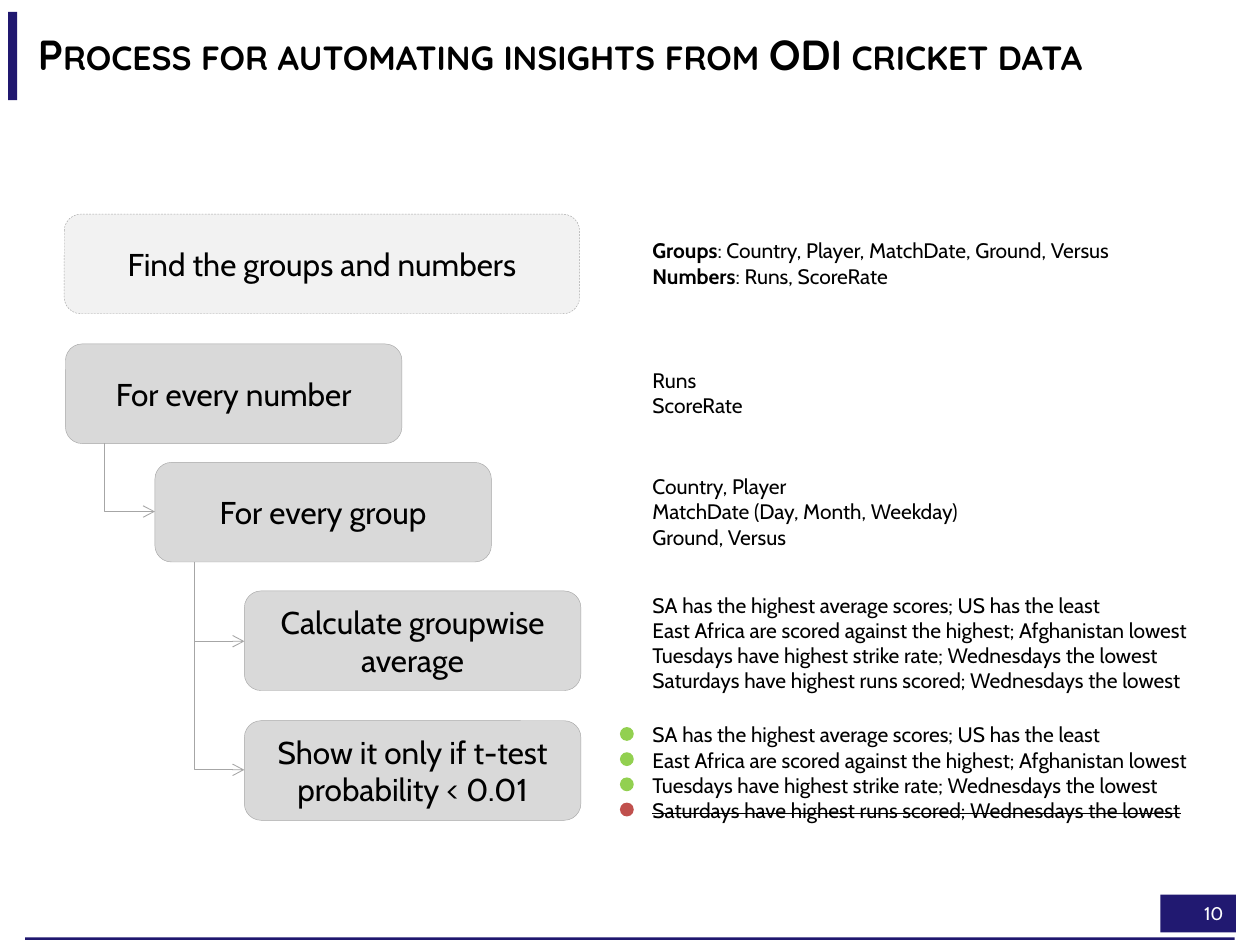
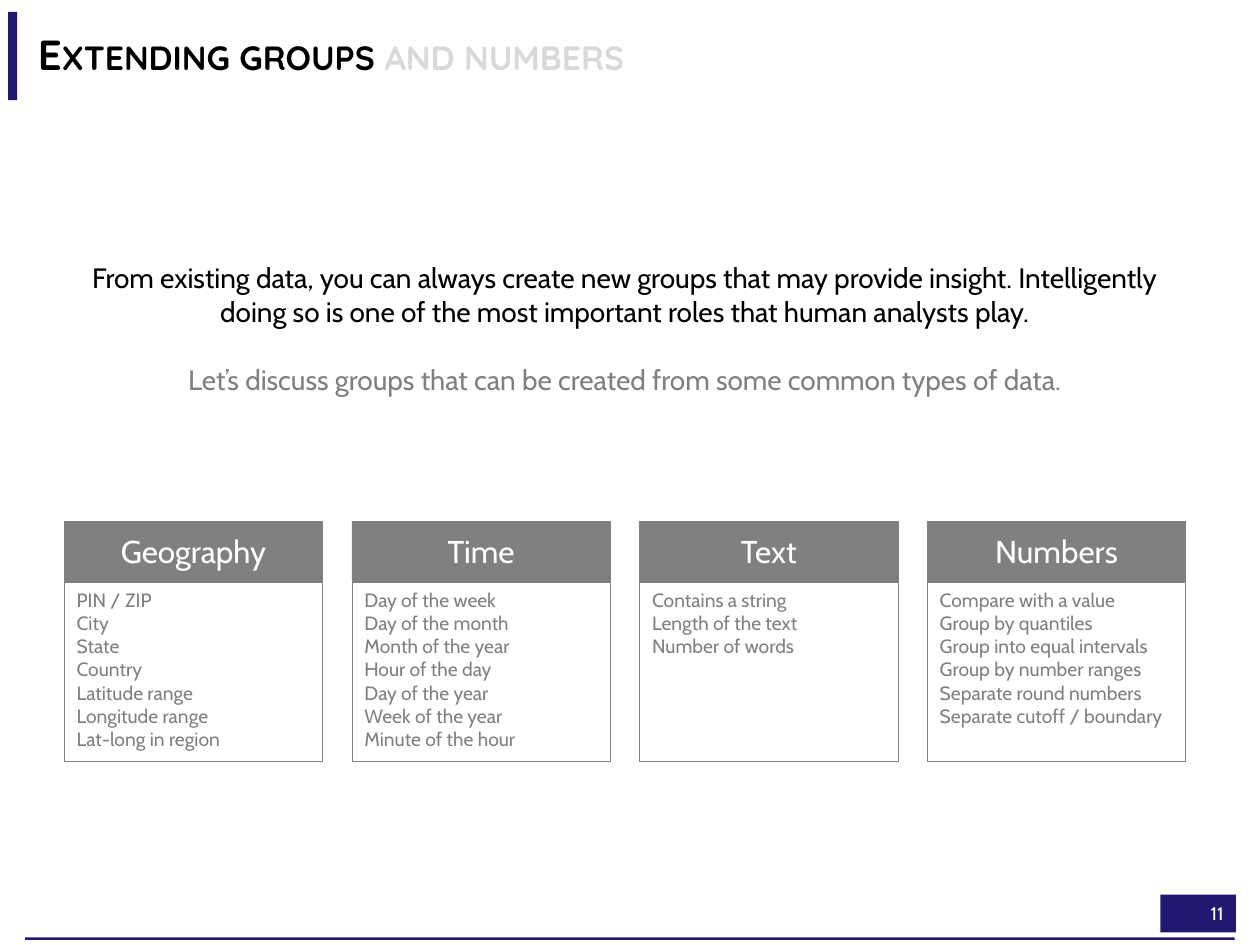
import pptx
import pptx.util
import pptx.dml.color
import pptx.enum.dml
import pptx.enum.shapes
import pptx.enum.text
import pptx.oxml
import pptx.oxml.ns

Inches = pptx.util.Inches
Pt = pptx.util.Pt
RGBColor = pptx.dml.color.RGBColor
SHAPE = pptx.enum.shapes.MSO_SHAPE
ALIGN = pptx.enum.text.PP_ALIGN
ANCHOR = pptx.enum.text.MSO_ANCHOR
FIT = pptx.enum.text.MSO_AUTO_SIZE
qn = pptx.oxml.ns.qn

NAVY = RGBColor(0x20, 0x18, 0x6F)
INDIGO = RGBColor(0x21, 0x19, 0x71)
BLACK = RGBColor(0, 0, 0)
WHITE = RGBColor(0xFF, 0xFF, 0xFF)
PALE = RGBColor(0xF2, 0xF2, 0xF2)
SILVER = RGBColor(0xD9, 0xD9, 0xD9)
ASH = RGBColor(0xA6, 0xA6, 0xA6)
GREY = RGBColor(0x80, 0x80, 0x80)
GREEN = RGBColor(0x92, 0xD0, 0x50)
RED = RGBColor(0xC0, 0x50, 0x4D)


def write(frame, paras, size=12, color=BLACK, font="Cabin", bold=False,
          align=ALIGN.LEFT, anchor=ANCHOR.TOP, caps=False, gap=0, lead=None):
    """Fill a frame; a paragraph is a string or a list of (text, changes) runs."""
    frame.vertical_anchor = anchor
    for i, para in enumerate(paras):
        line = frame.paragraphs[0] if i == 0 else frame.add_paragraph()
        line.alignment = align
        if lead:
            line.line_spacing = lead
        if gap and i:
            line.space_before = Pt(gap)
        for text, change in [(para, {})] if isinstance(para, str) else para:
            run = line.add_run()
            run.text = text
            run.font.name = font
            run.font.size = Pt(size)
            run.font.bold = change.get("bold", bold)
            run.font.color.rgb = change.get("color", color)
            props = run._r.get_or_add_rPr()
            if caps:
                props.set("cap", "small")
            if change.get("strike"):
                props.set("strike", "sngStrike")


class Deck:
    def __init__(self):
        self.show = pptx.Presentation()
        self.show.slide_width = Inches(10)
        self.show.slide_height = Inches(7.5)
        self.slide = None

    def start(self, title, number):
        """Add a slide with its title, side bar, foot rule and page number."""
        self.slide = self.show.slides.add_slide(self.show.slide_layouts[5])
        self.shape(9.21, 7.1, 0.6, 0.3, INDIGO, text=[str(number)],
                   size=10.5, color=WHITE, align=ALIGN.RIGHT, anchor=ANCHOR.MIDDLE)
        self.shape(0.2, 7.44, 9.6, 0.02, NAVY)
        self.shape(-0.25, 0.41, 0.7, 0.07, NAVY).rotation = 90
        head = self.slide.shapes.title
        head.left, head.top = Inches(0.2), Inches(0.1)
        head.width, head.height = Inches(9.6), Inches(0.7)
        head.fill.solid()
        head.fill.fore_color.rgb = WHITE
        tint = head.element.spPr.find(".//" + qn("a:srgbClr"))
        pptx.oxml.ns  # namespace helpers
        tint.append(pptx.oxml.parse_xml(
            f'<a:alpha {pptx.oxml.ns.nsdecls("a")} val="50000"/>'))
        head.text_frame.auto_size = FIT.NONE
        write(head.text_frame, [title], size=24, font="Quicksand", bold=True,
              anchor=ANCHOR.MIDDLE, caps=True, lead=0.9)

    def shape(self, x, y, w, h, fill, kind=SHAPE.RECTANGLE, edge=None,
              dash=False, text=(), **style):
        item = self.slide.shapes.add_shape(
            kind, Inches(x), Inches(y), Inches(w), Inches(h))
        item.shadow.inherit = False
        item.fill.solid()
        item.fill.fore_color.rgb = fill
        if edge is None:
            item.line.fill.background()
        else:
            item.line.color.rgb = edge
            item.line.width = Pt(0.25)
        if dash:
            item.line.dash_style = pptx.enum.dml.MSO_LINE.DASH
        if text:
            write(item.text_frame, text, **style)
        return item

    def step(self, x, y, w, text, fill=SILVER, dash=False):
        self.shape(x, y, w, 0.79, fill, SHAPE.ROUNDED_RECTANGLE, ASH, dash,
                   [text], size=18, align=ALIGN.CENTER, anchor=ANCHOR.MIDDLE)

    def note(self, x, y, w, h, paras, wrap=False, **style):
        box = self.slide.shapes.add_textbox(
            Inches(x), Inches(y), Inches(w), Inches(h))
        box.text_frame.word_wrap = wrap
        box.text_frame.auto_size = FIT.SHAPE_TO_FIT_TEXT
        write(box.text_frame, paras, **style)

    def elbow(self, x, y, right, low):
        """Draw an arrow down from (x, y), then across to (right, low)."""
        drop, run = low - y, right - x
        left, top = (x + right - drop) / 2, (y + low - run) / 2
        wire = self.slide.shapes.add_connector(
            pptx.enum.shapes.MSO_CONNECTOR.ELBOW, Inches(left), Inches(top),
            Inches(left + drop), Inches(top + run))
        wire.line.color.rgb = ASH
        wire.line.width = Pt(0.5)
        props = wire.element.spPr
        props.find(qn("a:prstGeom")).set("prst", "bentConnector2")
        frame = props.find(qn("a:xfrm"))
        frame.set("rot", "16200000")
        frame.set("flipH", "1")
        names = pptx.oxml.ns.nsdecls("a")
        props.find(qn("a:ln")).append(
            pptx.oxml.parse_xml(f'<a:tailEnd {names} type="arrow"/>'))
        props.append(pptx.oxml.parse_xml(f"<a:effectLst {names}/>"))

    def card(self, x, name, lines):
        self.shape(x, 4.14, 2.05, 0.47, GREY, edge=GREY, text=[name], size=18,
                   color=WHITE, align=ALIGN.CENTER, anchor=ANCHOR.MIDDLE)
        self.shape(x, 4.62, 2.05, 1.42, WHITE, edge=GREY, text=lines,
                   size=11, color=GREY)


def process(deck):
    deck.start("Process for automating insights from ODI cricket data", 10)
    deck.step(0.51, 1.7, 4.09, "Find the groups and numbers", PALE, True)
    for x, y, text in [
            (0.52, 2.73, "For every number"),
            (1.23, 3.67, "For every group"),
            (1.94, 4.69, "Calculate groupwise average"),
            (1.94, 5.72, "Show it only if t-test probability < 0.01")]:
        deck.step(x, y, 2.67, text)
    for x, y, right, low in [(0.83, 3.52, 1.23, 4.06),
                             (1.54, 4.46, 1.94, 5.09),
                             (1.54, 4.46, 1.94, 6.11)]:
        deck.elbow(x, y, right, low)

    facts = ["SA has the highest average scores; US has the least",
             "East Africa are scored against the highest; Afghanistan lowest",
             "Tuesdays have highest strike rate; Wednesdays the lowest",
             "Saturdays have highest runs scored; Wednesdays the lowest"]
    tested = facts[:3] + [[(facts[3], {"strike": True})]]
    strong = {"bold": True}
    inputs = [
        [("Groups", strong), (": Country, Player, MatchDate, Ground, Versus", {})],
        [("Numbers", strong), (": Runs, ScoreRate", {})]]
    for y, w, h, paras in [
            (1.84, 4.2, 0.5, inputs),
            (2.87, 0.99, 0.5, ["Runs", "ScoreRate"]),
            (3.71, 2.81, 0.71, ["Country, Player",
                                "MatchDate (Day, Month, Weekday)",
                                "Ground, Versus"]),
            (4.65, 4.79, 0.91, facts),
            (5.68, 4.79, 0.91, tested)]:
        deck.note(5.08, y, w, h, paras)
    for i, color in enumerate([GREEN, GREEN, GREEN, RED]):
        deck.shape(4.92, 5.77 + 0.2 * i, 0.11, 0.11, color, SHAPE.OVAL)


def groups(deck):
    deck.start([("Extending groups", {}), (" and numbers", {"color": SILVER})], 11)
    deck.note(0.51, 2.02, 8.9, 1.18, [
        "From existing data, you can always create new groups that may provide "
        "insight. Intelligently doing so is one of the most important roles that "
        "human analysts play.",
        [("Let’s discuss groups that can be created from some common types of "
          "data.", {"color": GREY})]],
        wrap=True, size=16, align=ALIGN.CENTER, gap=19.5)
    cards = {
        "Geography": ["PIN / ZIP", "City", "State", "Country", "Latitude range",
                      "Longitude range", "Lat-long in region"],
        "Time": ["Day of the week", "Day of the month", "Month of the year",
                 "Hour of the day", "Day of the year", "Week of the year",
                 "Minute of the hour"],
        "Text": ["Contains a string", "Length of the text", "Number of words"],
        "Numbers": ["Compare with a value", "Group by quantiles",
                    "Group into equal intervals", "Group by number ranges",
                    "Separate round numbers", "Separate cutoff / boundary"]}
    pitch = (8.9 - 2.05) / (len(cards) - 1)
    for i, (name, lines) in enumerate(cards.items()):
        deck.card(0.51 + pitch * i, name, lines)


def main():
    deck = Deck()
    process(deck)
    groups(deck)
    deck.show.save("out.pptx")


if __name__ == "__main__":
    main()
